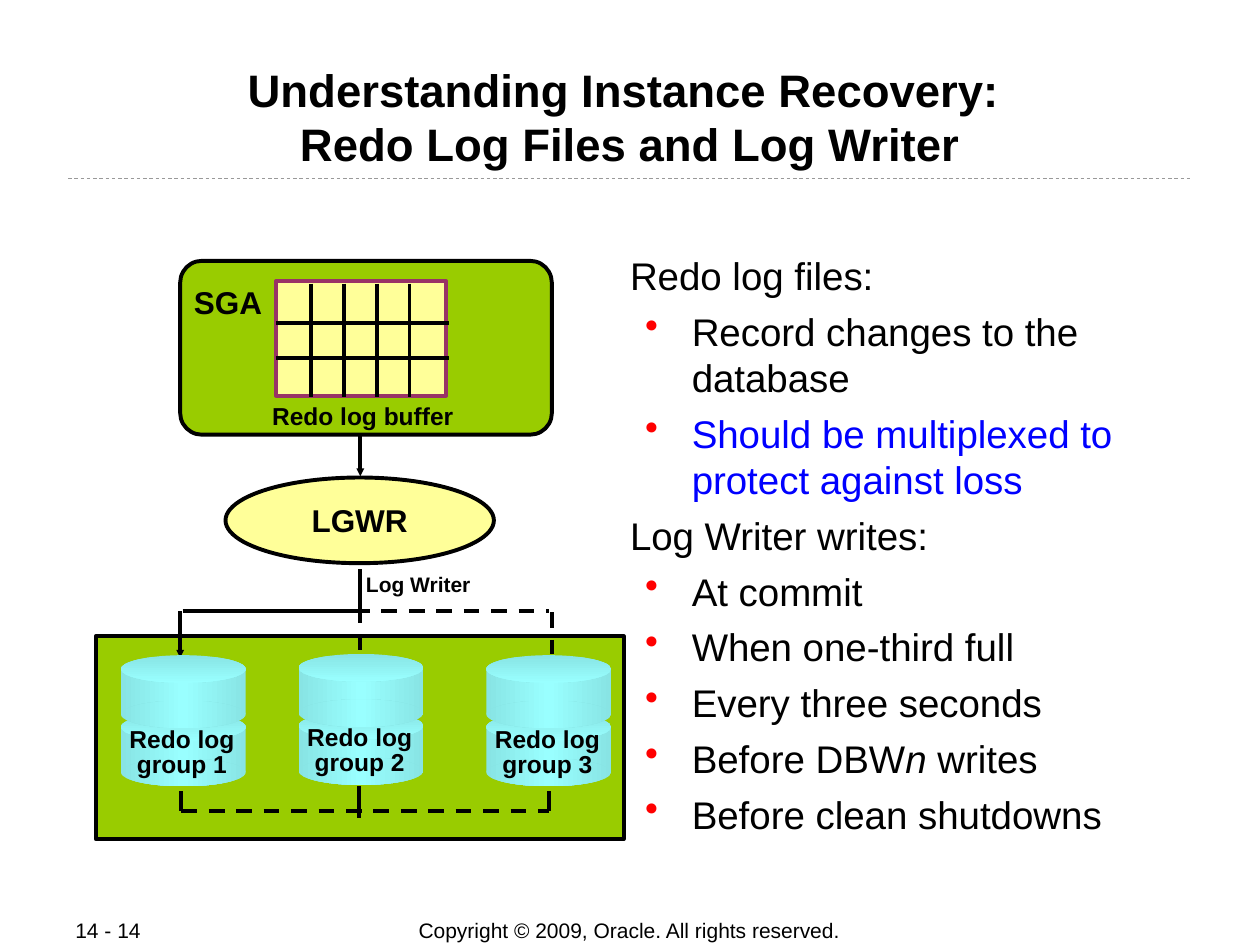
from dataclasses import dataclass

from lxml.etree import SubElement
from pptx import Presentation
from pptx.dml.color import RGBColor
from pptx.enum.dml import MSO_LINE
from pptx.enum.shapes import MSO_CONNECTOR, MSO_SHAPE
from pptx.enum.text import MSO_ANCHOR, PP_ALIGN
from pptx.oxml.ns import qn
from pptx.util import Pt

EMU_PER_PX = 9144
FONT = "Arial"
COLORS = {
    "ink": "000000", "rule": "999999", "green": "99CC00", "cream": "FFFF99",
    "plum": "993366", "blue": "0000FF", "bullet": "FF0000",
    "cyan": "99FFFF", "cyan_shade": "88E4E4",
}


@dataclass(frozen=True)
class Box:
    left: int
    top: int
    width: int
    height: int


@dataclass(frozen=True)
class Label:
    box: Box
    text: str
    size: int
    bold: bool = True
    align: PP_ALIGN = PP_ALIGN.CENTER
    anchor: MSO_ANCHOR = MSO_ANCHOR.TOP
    inset_x: int = 10
    inset_y: int = 5
    spacing: float = 1.0


@dataclass(frozen=True)
class Line:
    x1: int
    y1: int
    x2: int
    y2: int
    dashed: bool = False
    arrow: bool = False
    color: str = "ink"
    weight: float = 2.25


@dataclass(frozen=True)
class Point:
    text: str
    bulleted: bool = True
    color: str = "ink"


FOOTERS = (
    Label(Box(275, 728, 449, 21), "Copyright © 2009, Oracle. All rights reserved.", 12,
          bold=False, anchor=MSO_ANCHOR.MIDDLE),
    Label(Box(50, 728, 106, 20), "14 - 14", 12, bold=False, align=PP_ALIGN.LEFT,
          anchor=MSO_ANCHOR.MIDDLE),
)
TITLE = Label(Box(67, 48, 866, 96),
              "Understanding Instance Recovery: \vRedo Log Files and Log Writer", 26,
              inset_x=1, inset_y=1)
TITLE_RULE = Line(54, 142, 946, 142, dashed=True, color="rule", weight=0.5)
POINTS = (
    Point("Redo log files:", bulleted=False),
    Point("Record changes to the database"),
    Point("Should be multiplexed to protect against loss", color="blue"),
    Point("Log Writer writes:", bulleted=False),
    Point("At commit"),
    Point("When one-third full"),
    Point("Every three seconds"),
    Point("Before DBW*n* writes"),
    Point("Before clean shutdowns"),
)
GROUP_LINKS = (
    Line(436, 628, 436, 644),
    Line(144, 628, 144, 644),
    Line(285, 624, 285, 649),
    Line(286, 345, 286, 378, arrow=True),
    Line(145, 485, 281, 485),
    Line(144, 644, 436, 644, dashed=True),
    Line(281, 485, 436, 485, dashed=True),
    Line(143, 485, 143, 522, arrow=True),
    Line(438, 486, 438, 519, dashed=True),
)
LOG_GROUPS = (("group 1", 96, 520), ("group 3", 386, 520), ("group 2", 237, 519))


def px(length: int) -> int:
    """Turn px into EMU."""
    return length * EMU_PER_PX


def rgb(color: str) -> RGBColor:
    """Look up a named colour."""
    return RGBColor.from_string(COLORS[color])


def place(box: Box) -> tuple[int, ...]:
    """Give the position and size of a box in EMU."""
    return px(box.left), px(box.top), px(box.width), px(box.height)


def set_insets(frame, inset_x: int, inset_y: int) -> None:
    """Set the margins of a text frame."""
    frame.margin_left = frame.margin_right = px(inset_x)
    frame.margin_top = frame.margin_bottom = px(inset_y)


def style_run(run, size: int, color: str = "ink", bold: bool = False) -> None:
    """Format one run."""
    run.font.name = FONT
    run.font.size = Pt(size)
    run.font.bold = bold
    run.font.color.rgb = rgb(color)


def write_label(frame, label: Label) -> None:
    """Fill a text frame from a label."""
    set_insets(frame, label.inset_x, label.inset_y)
    frame.word_wrap = label.align == PP_ALIGN.LEFT
    frame.vertical_anchor = label.anchor
    frame.text = label.text
    for paragraph in frame.paragraphs:
        paragraph.alignment = label.align
        paragraph.line_spacing = label.spacing
        for run in paragraph.runs:
            style_run(run, label.size, bold=label.bold)


def add_label(slide, label: Label) -> None:
    """Add a label in a text box."""
    write_label(slide.shapes.add_textbox(*place(label.box)).text_frame, label)


def add_line(slide, line: Line) -> None:
    """Add a straight connector."""
    connector = slide.shapes.add_connector(
        MSO_CONNECTOR.STRAIGHT, px(line.x1), px(line.y1), px(line.x2), px(line.y2))
    connector.line.color.rgb = rgb(line.color)
    connector.line.width = Pt(line.weight)
    if line.dashed:
        connector.line.dash_style = MSO_LINE.DASH
    properties = connector._element.spPr
    if line.arrow:
        SubElement(properties.find(qn("a:ln")), qn("a:tailEnd"), type="triangle", w="sm", len="sm")
    SubElement(properties, qn("a:effectLst"))


def add_solid(slide, kind: MSO_SHAPE, box: Box, fill: str, outline: str = "ink"):
    """Add an outlined shape with one fill colour."""
    shape = slide.shapes.add_shape(kind, *place(box))
    shape.shadow.inherit = False
    shape.fill.solid()
    shape.fill.fore_color.rgb = rgb(fill)
    shape.line.color.rgb = rgb(outline)
    shape.line.width = Pt(2.25)
    return shape


def add_gradient(slide, kind: MSO_SHAPE, box: Box, stops: tuple[str, ...], angle: int) -> None:
    """Add a shape without outline, with evenly spaced gradient stops."""
    shape = slide.shapes.add_shape(kind, *place(box))
    shape.shadow.inherit = False
    shape.line.fill.background()
    shape.fill.gradient()
    shape.fill.gradient_angle = angle
    stop_list = shape._element.spPr.find(qn("a:gradFill")).find(qn("a:gsLst"))
    stop_list.clear()
    for index, color in enumerate(stops):
        position = 100000 * index // (len(stops) - 1)
        stop = SubElement(stop_list, qn("a:gs"), pos=str(position))
        SubElement(stop, qn("a:srgbClr"), val=COLORS[color])


def add_log_group(slide, name: str, left: int, top: int) -> None:
    """Add two stacked cylinders and their caption."""
    side = ("cyan_shade", "cyan", "cyan_shade")
    for y in (top + 46, top):
        add_gradient(slide, MSO_SHAPE.RECTANGLE, Box(left, y + 12, 99, 35), side, 180)
        add_gradient(slide, MSO_SHAPE.OVAL, Box(left, y, 99, 22), side[:2], 270)
        add_gradient(slide, MSO_SHAPE.OVAL, Box(left, y + 36, 99, 22), side, 180)
    add_label(slide, Label(Box(left - 15, top + 55, 127, 46), f"Redo log\n{name}", 14,
                           inset_x=6, inset_y=3, spacing=0.85))


def add_points(slide) -> None:
    """Add the headings and bullets on the right."""
    frame = slide.shapes.add_textbox(*place(Box(499, 199, 418, 467))).text_frame
    frame.word_wrap = True
    set_insets(frame, 1, 1)
    for index, point in enumerate(POINTS):
        paragraph = frame.add_paragraph() if index else frame.paragraphs[0]
        if point.bulleted:
            paragraph.level = 1
            properties = paragraph._p.get_or_add_pPr()
            properties.set("marL", str(px(49)))
            properties.set("indent", str(px(-37)))
            SubElement(SubElement(properties, qn("a:buClr")), qn("a:srgbClr"), val=COLORS["bullet"])
            SubElement(properties, qn("a:buChar"), char="•")
        if index:
            paragraph.space_before = Pt(5.5)
        for part, text in enumerate(point.text.split("*")):
            run = paragraph.add_run()
            run.text = text
            style_run(run, 22, point.color)
            run.font.italic = part % 2 == 1


def add_sga(slide) -> None:
    """Add the SGA panel with its buffer grid."""
    panel = add_solid(slide, MSO_SHAPE.ROUNDED_RECTANGLE, Box(143, 207, 295, 138), "green")
    panel.adjustments[0] = 0.125
    add_label(slide, Label(Box(144, 220, 74, 40), "SGA", 18))
    add_solid(slide, MSO_SHAPE.RECTANGLE, Box(219, 223, 135, 91), "cream", "plum")
    for x in range(247, 326, 26):
        add_line(slide, Line(x, 225, x, 315))
    for y in (256, 284):
        add_line(slide, Line(219, y, 356, y))
    add_label(slide, Label(Box(206, 313, 164, 34), "Redo log buffer", 14))


def add_log_writer(slide) -> None:
    """Add the LGWR process and its caption."""
    add_line(slide, Line(286, 452, 286, 485))
    add_label(slide, Label(Box(273, 449, 118, 30), "Log Writer", 12))
    process = add_solid(slide, MSO_SHAPE.OVAL, Box(179, 379, 213, 68), "cream")
    write_label(process.text_frame,
                Label(Box(179, 379, 213, 68), "LGWR", 18, anchor=MSO_ANCHOR.MIDDLE))


def main() -> None:
    """Build the slide and save it."""
    deck = Presentation()
    deck.slide_width, deck.slide_height = px(1000), px(750)
    slide = deck.slides.add_slide(deck.slide_layouts[6])
    add_line(slide, TITLE_RULE)
    add_solid(slide, MSO_SHAPE.RECTANGLE, Box(76, 505, 419, 161), "green")
    for label in (*FOOTERS, TITLE):
        add_label(slide, label)
    add_points(slide)
    for link in GROUP_LINKS:
        add_line(slide, link)
    for name, left, top in LOG_GROUPS:
        add_log_group(slide, name, left, top)
    add_line(slide, Line(286, 482, 286, 521, dashed=True))
    add_sga(slide)
    add_log_writer(slide)
    deck.save("out.pptx")


if __name__ == "__main__":
    main()
